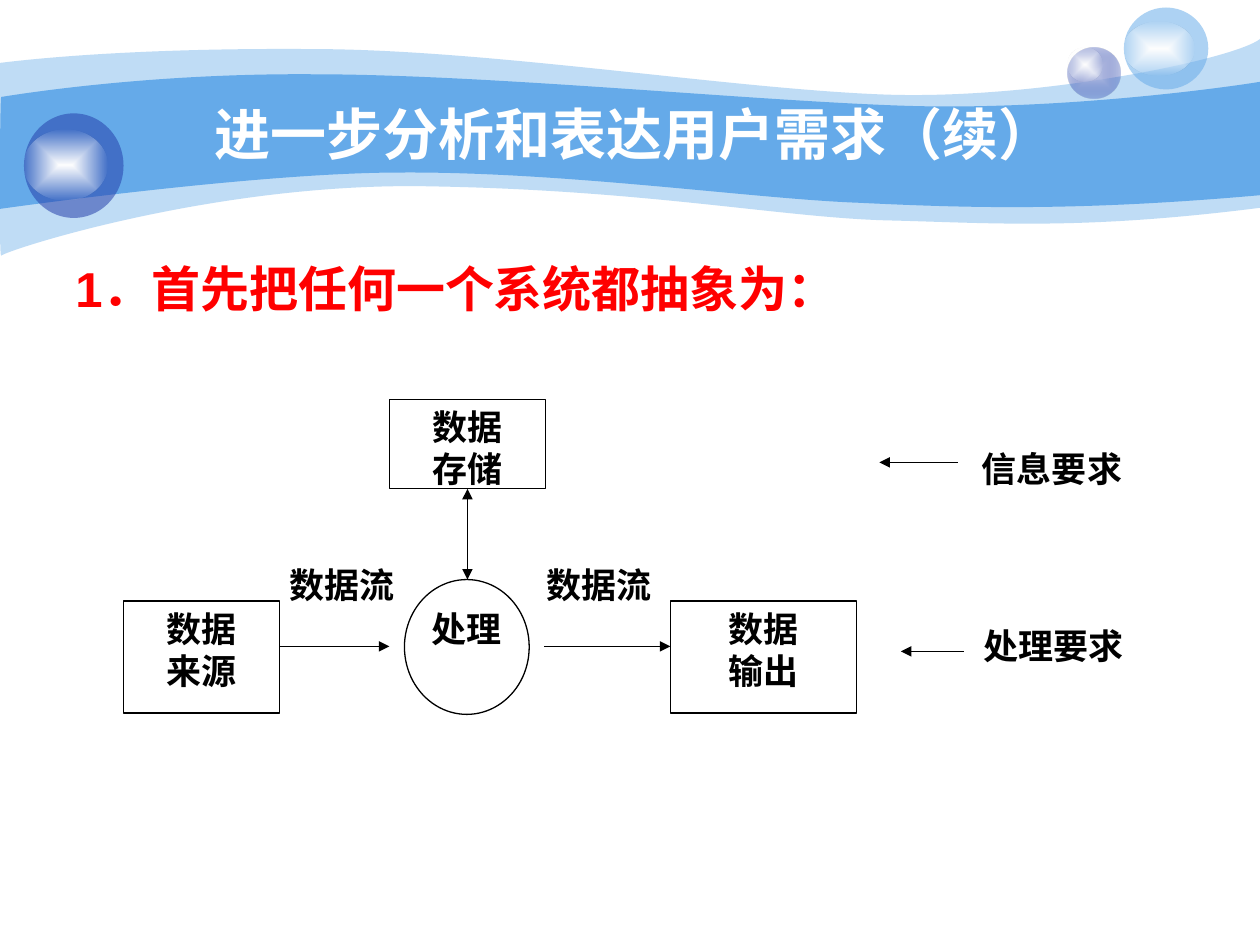
from pptx import Presentation
from pptx import util as u
from pptx.dml.color import RGBColor
from pptx.enum import shapes, text
from pptx.oxml import parse_xml
from pptx.oxml.ns import nsdecls, qn
from lxml import etree

COLORS = {"sky": "65AAE9", "navy": "233DA9", "mist": "C7CEE9",
          "white": "FFFFFF", "red": "FF0000", "black": "000000"}
RECT = shapes.MSO_SHAPE.RECTANGLE
OVAL = shapes.MSO_SHAPE.OVAL

# Each wave: start point, then upper edge, right side, lower edge, left side
# (six numbers make a Bezier curve, two a straight line)
PALE_WAVE = [
    (0, 0.5), (0.24, 0.47, 1.07, 0.38, 2.47, 0.39),
    (3.86, 0.39, 5.75, 0.7, 6.99, 0.75), (8.22, 0.8, 9.8, 0.47, 10, 0.31),
    (10, 1.65), (8.58, 1.83, 7.87, 1.77, 7.05, 1.75),
    (6.22, 1.73, 5.15, 1.51, 3.43, 1.48), (1.72, 1.44, 0.04, 1.99, 0.01, 2.03),
    (-0.01, 2.08, 0, 0.75, 0, 0.5)]
DEEP_WAVE = [
    (0.01, 0.77), (0.02, 0.77, 1.1, 0.58, 2.48, 0.59),
    (3.86, 0.59, 5.95, 0.8, 7.18, 0.84), (8.41, 0.88, 9.76, 0.69, 10, 0.65),
    (10, 1.55), (8.53, 1.68, 7.65, 1.65, 6.82, 1.61),
    (5.99, 1.58, 4.47, 1.36, 3.17, 1.37), (2.03, 1.37, -0.02, 1.66, -0.01, 1.66),
    (0, 1.66, 0, 0.77, 0.01, 0.77)]


def rgb(name):
    return RGBColor.from_string(COLORS[name])


def inches(*values):
    return [u.Inches(value) for value in values]


def color_xml(name, alpha):
    return (f'<a:srgbClr val="{COLORS[name]}">'
            f'<a:alpha val="{alpha * 1000}"/></a:srgbClr>')


def fill_with(shape, *stops):
    """One (color, alpha) stop gives a flat fill, two a gradient from the centre."""
    if len(stops) == 1:
        xml = f'<a:solidFill {nsdecls("a")}>{color_xml(*stops[0])}</a:solidFill>'
    else:
        steps = "".join(f'<a:gs pos="{pos}">{color_xml(*stop)}</a:gs>'
                        for pos, stop in zip((0, 100000), stops))
        xml = (f'<a:gradFill {nsdecls("a")} rotWithShape="1"><a:gsLst>{steps}</a:gsLst>'
               '<a:path path="rect"><a:fillToRect l="50000" t="50000" '
               'r="50000" b="50000"/></a:path></a:gradFill>')
    shape.fill.solid()
    properties = shape.fill._xPr
    properties.replace(properties.find(qn("a:solidFill")), parse_xml(xml))
    shape.line.fill.background()
    shape.shadow.inherit = False


def add_wave(page, outline, alpha):
    corners = [tuple(inches(*pair)) for part in outline
               for pair in zip(part[::2], part[1::2])]
    builder = page.shapes.build_freeform(*corners[0])
    builder.add_line_segments(corners[1:], close=True)
    wave = builder.convert_to_shape()
    # Join the three segments of every curve into one Bezier
    segments = iter(list(wave._element.iter(qn("a:lnTo"))))
    for part in outline[1:]:
        first = next(segments)
        if len(part) == 6:
            curve = etree.Element(qn("a:cubicBezTo"))
            first.addprevious(curve)
            for segment in (first, next(segments), next(segments)):
                curve.append(segment[0])
                segment.getparent().remove(segment)
    fill_with(wave, ("sky", alpha))


def add_bubble(page, ball, shine, *stops):
    fill_with(page.shapes.add_shape(OVAL, *inches(*ball)), *stops)
    fill_with(page.shapes.add_shape(OVAL, *inches(*shine)),
              ("white", 100), ("white", 0))


def write(shape, lines, size=20, font="Times New Roman", color="black",
          align=text.PP_ALIGN.CENTER, anchor=text.MSO_ANCHOR.TOP, margin=0):
    frame = shape.text_frame
    frame.word_wrap = True
    frame.vertical_anchor = anchor
    frame.margin_left = frame.margin_right = u.Inches(margin)
    for number, line in enumerate(lines):
        para = frame.add_paragraph() if number else frame.paragraphs[0]
        para.alignment = align
        span = para.add_run()
        span.text = line
        span.font.size = u.Pt(size)
        span.font.name = font
        span.font.bold = True
        span.font.color.rgb = rgb(color)


def add_label(page, place, *lines, **style):
    box = page.shapes.add_textbox(*inches(*place))
    write(box, lines, **style)
    return box


def outline_thin(item):
    item.line.color.rgb = rgb("black")
    item.line.width = u.Pt(0.75)


def add_node(page, kind, place, *lines):
    node = page.shapes.add_shape(kind, *inches(*place))
    node.fill.background()
    node.shadow.inherit = False
    outline_thin(node)
    if lines:
        write(node, lines)


def add_arrow(page, start, end, both=False):
    arrow = page.shapes.add_connector(shapes.MSO_CONNECTOR.STRAIGHT,
                                      *inches(*start, *end))
    outline_thin(arrow)
    line = arrow.line._get_or_add_ln()
    for tag in (["a:headEnd"] if both else []) + ["a:tailEnd"]:
        etree.SubElement(line, qn(tag)).set("type", "triangle")
    etree.SubElement(arrow._element.spPr, qn("a:effectLst"))


def add_banner(page):
    add_wave(page, PALE_WAVE, 41)
    add_wave(page, DEEP_WAVE, 100)
    add_bubble(page, (8.47, 0.38, 0.42, 0.4), (8.47, 0.38, 0.28, 0.27),
               ("mist", 100), ("navy", 31))
    add_bubble(page, (8.92, 0.06, 0.67, 0.65), (8.92, 0.17, 0.56, 0.43), ("sky", 53))
    add_bubble(page, (0.19, 0.9, 0.79, 0.83), (0.19, 1.03, 0.66, 0.56), ("navy", 53))


def add_diagram(page):
    # Flow labels
    add_label(page, (4.2, 4.42, 1.11, 0.71), "数据流")
    add_label(page, (2.22, 4.42, 0.99, 0.71), "数据流")
    # Process and storage
    add_node(page, OVAL, (3.21, 4.6, 0.99, 1.07))
    add_node(page, RECT, (3.09, 3.17, 1.24, 0.71), "数据", "存储")
    # Information requirement
    add_label(page, (7.73, 3.5, 1.24, 0.73), "信息要求")
    add_arrow(page, (7.6, 3.67), (6.98, 3.67))
    # Flow from source through process to output
    add_node(page, RECT, (0.98, 4.77, 1.24, 0.89), "数据", "来源")
    add_arrow(page, (2.22, 5.13), (3.09, 5.13))
    add_label(page, (3.33, 4.77, 0.74, 0.53), "处理")
    add_arrow(page, (4.32, 5.13), (5.32, 5.13))
    add_node(page, RECT, (5.32, 4.77, 1.48, 0.89), "数据", "输出")
    # Processing requirement
    add_arrow(page, (7.65, 5.17), (7.15, 5.17))
    add_label(page, (7.74, 4.91, 1.24, 0.57), "处理要求")
    # Exchange between storage and process
    add_arrow(page, (3.71, 3.88), (3.71, 4.6), both=True)


def main():
    deck = Presentation()
    deck.slide_width, deck.slide_height = inches(10, 7.5)
    page = deck.slides.add_slide(deck.slide_layouts[6])
    add_banner(page)
    # Title and statement
    add_label(page, (1, 0.75, 8.08, 0.62), "进一步分析和表达用户需求（续）", size=32,
              font="Arial", color="white", anchor=text.MSO_ANCHOR.MIDDLE, margin=0.1)
    body = add_label(page, (0.5, 2, 9, 4.92), "1．首先把任何一个系统都抽象为：", size=28,
                     font="Arial", color="red", align=text.PP_ALIGN.LEFT, margin=0.1)
    indent = body.text_frame.paragraphs[0]._p.get_or_add_pPr()
    indent.set("marL", str(u.Inches(0.38)))
    indent.set("indent", str(-u.Inches(0.38)))
    add_diagram(page)
    deck.save("out.pptx")


if __name__ == "__main__":
    main()
